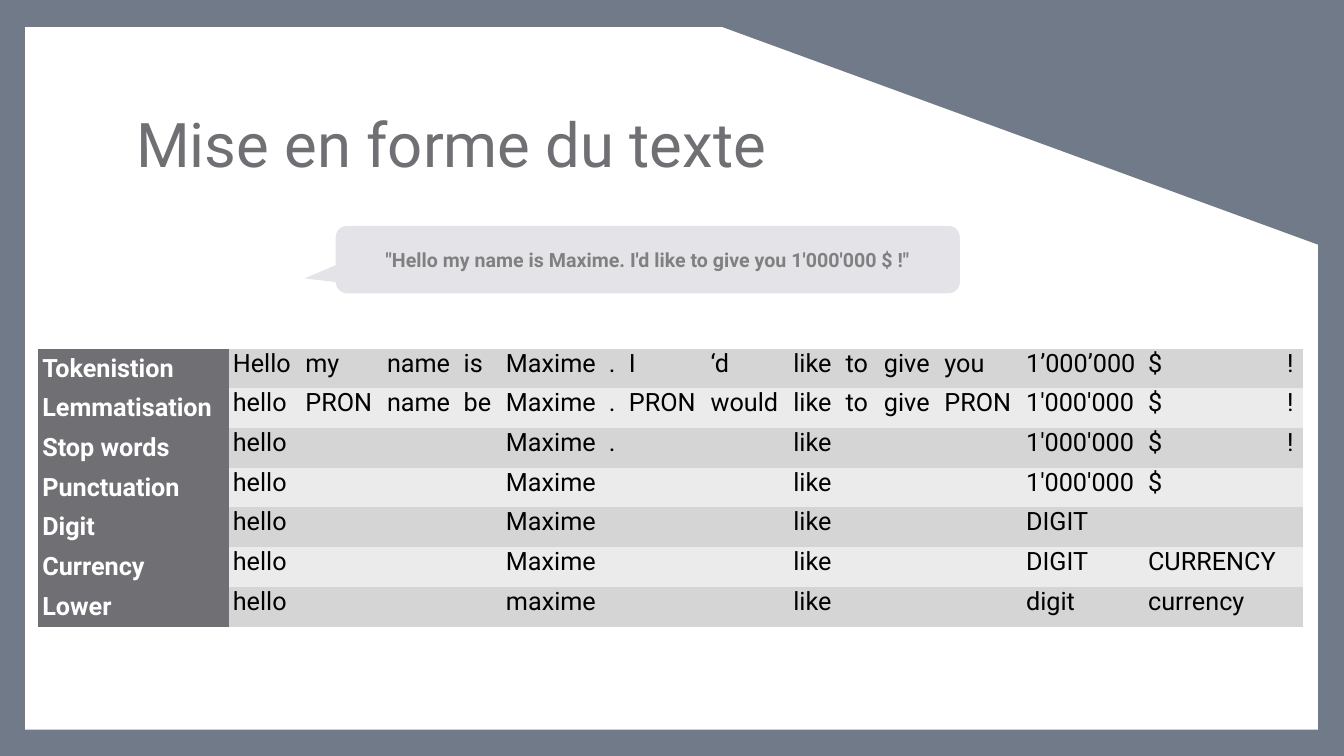
import pptx
import pptx.util
import pptx.dml.color
import pptx.enum.shapes
import pptx.enum.text

Inches = pptx.util.Inches
Pt = pptx.util.Pt
Kind = pptx.enum.shapes.MSO_SHAPE
Align = pptx.enum.text.PP_ALIGN
Anchor = pptx.enum.text.MSO_ANCHOR

SLATE, WHITE, GREY = "707A88", "FFFFFF", "6F6F74"
BANDS = ["D5D5D6", "EBEBEB"]
PLAIN = "{2D5ABB26-0587-4C30-8999-92F81FD0307C}"  # no style, no grid

WIDTHS = [1.89, 0.72, 0.81, 0.76, 0.42, 1.02, 0.2, 0.81,
          0.82, 0.52, 0.38, 0.6, 0.81, 1.21, 1.38, 0.2]

# Step name, then the token in each column ("" where it was removed)
STEPS = [
    ["Tokenistion", "Hello", "my", "name", "is", "Maxime", ".", "I",
     "‘d", "like", "to", "give", "you", "1’000’000", "$", "!"],
    ["Lemmatisation", "hello", "PRON", "name", "be", "Maxime", ".", "PRON",
     "would", "like", "to", "give", "PRON", "1'000'000", "$", "!"],
    ["Stop words", "hello", "", "", "", "Maxime", ".", "",
     "", "like", "", "", "", "1'000'000", "$", "!"],
    ["Punctuation", "hello", "", "", "", "Maxime", "", "",
     "", "like", "", "", "", "1'000'000", "$", ""],
    ["Digit", "hello", "", "", "", "Maxime", "", "",
     "", "like", "", "", "", "DIGIT", "", ""],
    ["Currency", "hello", "", "", "", "Maxime", "", "",
     "", "like", "", "", "", "DIGIT", "CURRENCY", ""],
    ["Lower", "hello", "", "", "", "maxime", "", "",
     "", "like", "", "", "", "digit", "currency", ""],
]


def paint(fill, color):
    fill.solid()
    fill.fore_color.rgb = pptx.dml.color.RGBColor.from_string(color)


class Page:
    face = "Roboto"

    def __init__(self, deck, back):
        self.slide = deck.slides.add_slide(deck.slide_layouts[5])
        self.shapes = self.slide.shapes
        paint(self.slide.background.fill, back)

    def label(self, frame, text, size, color, bold=False, align=Align.LEFT):
        frame.text = text
        para = frame.paragraphs[0]
        para.alignment = align
        font = para.font
        font.name, font.size, font.bold = self.face, Pt(size), bold
        paint(font.fill, color)
        return para

    def shape(self, kind, box, color, adjust=()):
        shape = self.shapes.add_shape(kind, *map(Inches, box))
        shape.shadow.inherit = False
        paint(shape.fill, color)
        shape.line.fill.background()
        for num, value in enumerate(adjust):
            shape.adjustments[num] = value
        return shape

    def title(self, text, box):
        """Fill the title placeholder and bring it above the backdrop."""
        title = self.shapes.title
        title.left, title.top, title.width, title.height = map(Inches, box)
        frame = title.text_frame
        frame.word_wrap = True
        frame.auto_size = pptx.enum.text.MSO_AUTO_SIZE.NONE
        frame.vertical_anchor = Anchor.BOTTOM
        self.label(frame, text, 44, GREY).line_spacing = 0.9
        title.element.getparent().append(title.element)

    def callout(self, text, box, adjust):
        shape = self.shape(Kind.ROUNDED_RECTANGULAR_CALLOUT, box, "E4E3E8", adjust)
        shape.text_frame.word_wrap = True
        shape.text_frame.vertical_anchor = Anchor.MIDDLE
        self.label(shape.text_frame, text, 14, "808080", True, Align.CENTER)

    def table(self, rows, widths, left, top, high):
        frame = self.shapes.add_table(
            len(rows), len(widths), Inches(left), Inches(top),
            Inches(sum(widths)), Inches(high * len(rows)))
        frame.element.xpath(".//a:tableStyleId")[0].text = PLAIN
        table = frame.table
        table.first_row = table.horz_banding = False
        for col, width in zip(table.columns, widths):
            col.width = Inches(width)
        for r, row in enumerate(rows):
            table.rows[r].height = Inches(high)
            for c, text in enumerate(row):
                self.cell(table.cell(r, c), text, c == 0, BANDS[r % 2])

    def cell(self, cell, text, head, band):
        cell.margin_left = cell.margin_right = Inches(0.04)
        cell.margin_top = cell.margin_bottom = Inches(0.05 if head else 0)
        paint(cell.fill, GREY if head else band)
        if text:
            self.label(cell.text_frame, text, 18, WHITE if head else "000000", head)


def main():
    deck = pptx.Presentation()
    deck.slide_width, deck.slide_height = Inches(13.33), Inches(7.5)
    page = Page(deck, SLATE)
    page.shape(Kind.RECTANGLE, (0.25, 0.27, 12.82, 6.97), WHITE)
    corner = page.shape(Kind.ISOSCELES_TRIANGLE, (6.43, 0, 6.76, 2.47), SLATE, [0])
    corner.rotation = 180
    page.title("Mise en forme du texte", (1.25, 0.67, 10.8, 1.17))
    page.table(STEPS, WIDTHS, 0.38, 3.46, 0.39)
    page.callout("\"Hello my name is Maxime. I'd like to give you 1'000'000 $ !\"",
                 (3.33, 2.24, 6.19, 0.67), [-0.55, 0.28, 0.17])
    deck.save("out.pptx")


if __name__ == "__main__":
    main()
